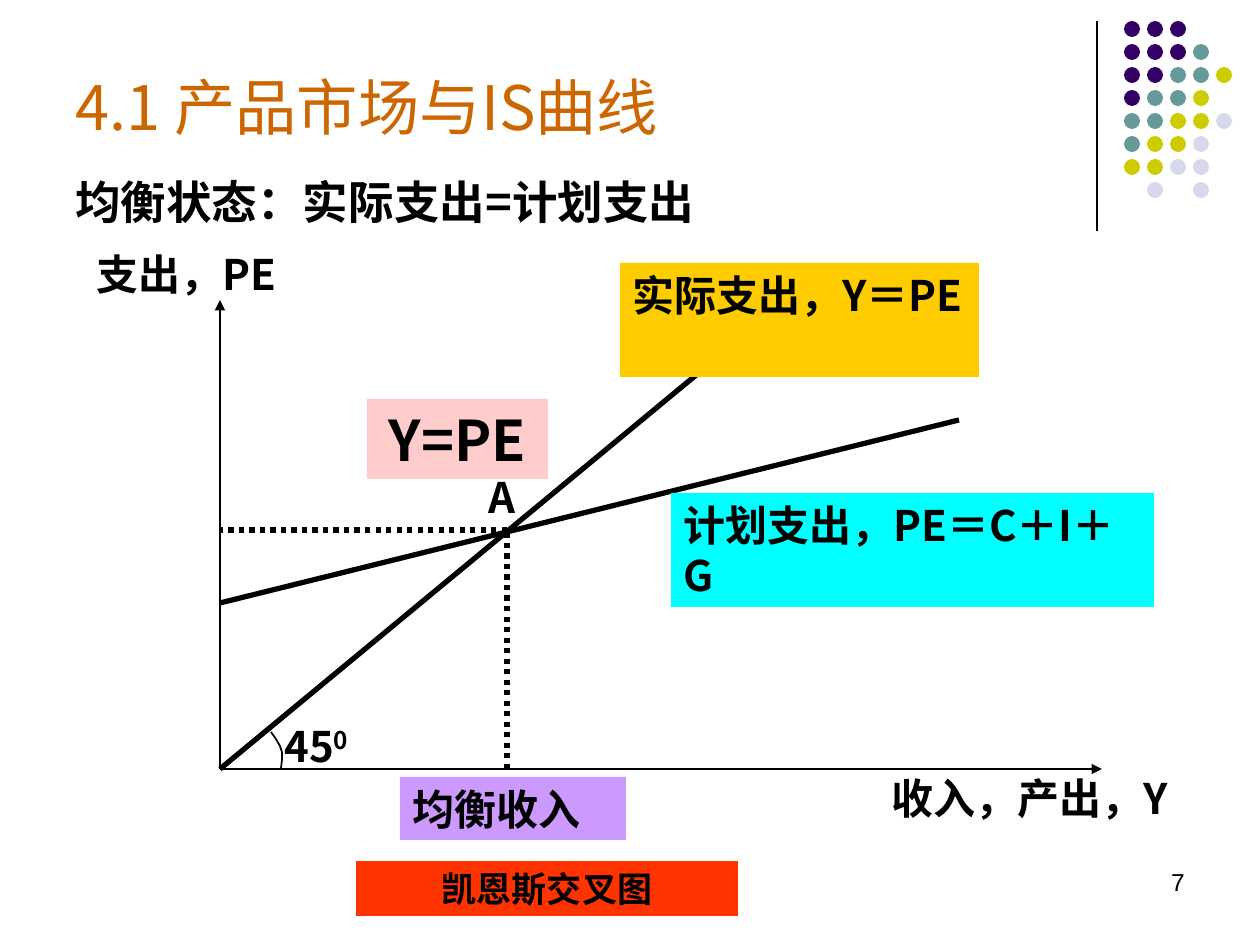
from dataclasses import dataclass
from lxml.etree import SubElement as Sub
from pptx import Presentation
from pptx.dml.color import RGBColor as RGB
from pptx.enum.dml import MSO_LINE_DASH_STYLE as Dash
from pptx.enum.shapes import MSO_CONNECTOR as Conn, MSO_SHAPE as Shape
from pptx.enum.text import MSO_ANCHOR as Anchor, PP_ALIGN as Align
from pptx.oxml.ns import qn
from pptx.util import Pt


@dataclass(frozen=True)
class Theme:
    font: str = "Noto Sans CJK SC"
    latin: str = "Arial"
    ink: str = "000000"
    title: str = "CC6600"
    pink: str = "FFCCCC"
    cyan: str = "00FFFF"
    violet: str = "CC99FF"
    gold: str = "FFCC00"
    red: str = "FF3300"
    dots: tuple = (("P", "330066"), ("T", "669999"), ("Y", "CCCC00"), ("L", "D8D8EC"))
    head: int = 35
    lead: int = 26
    big: int = 32
    label: int = 24
    small: int = 20
    page: int = 14


theme = Theme()
PX = 914400 / 126


def px(*vals):
    return [round(v * PX) for v in vals]


def write(box, text, size, color=theme.ink, bold=True, align=Align.LEFT,
          anchor=Anchor.TOP, face=theme.font):
    frame = box.text_frame
    frame.text = text
    frame.word_wrap = True
    frame.vertical_anchor = anchor
    para = frame.paragraphs[0]
    para.alignment = align
    for run in para.runs:
        font = run.font
        font.name, font.size, font.bold = face, Pt(size), bold
        font.color.rgb = RGB.from_string(color)
        Sub(run._r.get_or_add_rPr(), qn("a:ea")).set("typeface", face)
    return para


deck = Presentation()
deck.slide_width, deck.slide_height = px(1260, 945)
slide = deck.slides.add_slide(deck.slide_layouts[5])
shapes = slide.shapes

title = shapes.title
title.left, title.top, title.width, title.height = px(63, 16, 1040, 179)
write(title, "4.1 产品市场与IS曲线", theme.head, theme.title, False, anchor=Anchor.MIDDLE)

hues = dict(theme.dots)
grid = ["PPP", "PPPT", "PPTTY", "PTTY", "TTYYL", "TYYL", "YYLL", " L L"]
for row, keys in enumerate(grid):
    for col, key in enumerate(keys):
        if key in hues:
            dot = shapes.add_shape(Shape.OVAL, *px(1124 + 23 * col, 21 + 23 * row, 16, 16))
            dot.shadow.inherit = False
            dot.fill.solid()
            dot.fill.fore_color.rgb = RGB.from_string(hues[key])
            dot.line.fill.background()

lines = [
    (1097, 21, 1097, 231, 0.75, False, False),
    (220, 769, 220, 300, 1, False, True),
    (220, 769, 1102, 769, 1, False, True),
    (220, 603, 959, 420, 3, False, False),
    (220, 769, 753, 328, 3, False, False),
    (507, 769, 507, 530, 3, True, False),
    (507, 530, 220, 530, 3, True, False),
]
for x1, y1, x2, y2, wide, dash, arrow in lines:
    line = shapes.add_connector(Conn.STRAIGHT, *px(x1, y1, x2, y2))
    line.line.color.rgb = RGB.from_string(theme.ink)
    line.line.width = Pt(wide)
    if dash:
        line.line.dash_style = Dash.ROUND_DOT
    if arrow:
        Sub(line.line._get_or_add_ln(), qn("a:tailEnd")).set("type", "triangle")
    Sub(line._element.spPr, qn("a:effectLst"))

pen = shapes.build_freeform(271, 732, scale=PX)
pen.add_line_segments([(276, 739), (280, 746), (282, 752), (282, 760), (281, 769)], close=False)
arc = pen.convert_to_shape()
arc.shadow.inherit = False
arc.fill.background()
arc.line.color.rgb = RGB.from_string(theme.ink)
arc.line.width = Pt(1)

texts = [
    ("均衡状态：实际支出=计划支出", 63, 168, 1000, 72, theme.lead),
    ("收入，产出，Y", 879, 766, 328, 63, theme.label),
    ("支出，PE", 84, 242, 349, 63, theme.label),
    ("A", 476, 465, 62, 63, theme.label),
]
for text, x, y, w, h, size in texts:
    write(shapes.add_textbox(*px(x, y, w, h)), text, size)

angle = write(shapes.add_textbox(*px(272, 714, 112, 63)), "45", theme.label)
power = angle.add_run()
power.text = "0"
power.font.name, power.font.size, power.font.bold = theme.font, Pt(theme.label), True
power.font.color.rgb = RGB.from_string(theme.ink)
power._r.get_or_add_rPr().set("baseline", "30000")

cards = [
    ("Y=PE", 367, 399, 181, 80, theme.pink, theme.big, Align.CENTER, Anchor.MIDDLE),
    ("计划支出，PE＝C＋I＋G", 671, 493, 483, 114, theme.cyan, theme.label, Align.LEFT, Anchor.TOP),
    ("均衡收入", 400, 777, 226, 63, theme.violet, theme.label, Align.LEFT, Anchor.TOP),
    ("实际支出，Y＝PE", 620, 263, 359, 114, theme.gold, theme.label, Align.LEFT, Anchor.TOP),
    ("凯恩斯交叉图", 356, 861, 382, 55, theme.red, theme.small, Align.CENTER, Anchor.TOP),
]
for text, x, y, w, h, fill, size, align, anchor in cards:
    card = shapes.add_shape(Shape.RECTANGLE, *px(x, y, w, h))
    card.shadow.inherit = False
    card.fill.solid()
    card.fill.fore_color.rgb = RGB.from_string(fill)
    card.line.fill.background()
    write(card, text, size, align=align, anchor=anchor)

page = shapes.add_textbox(*px(903, 861, 294, 65))
write(page, "7", theme.page, bold=False, align=Align.RIGHT, face=theme.latin)

deck.save("out.pptx")
